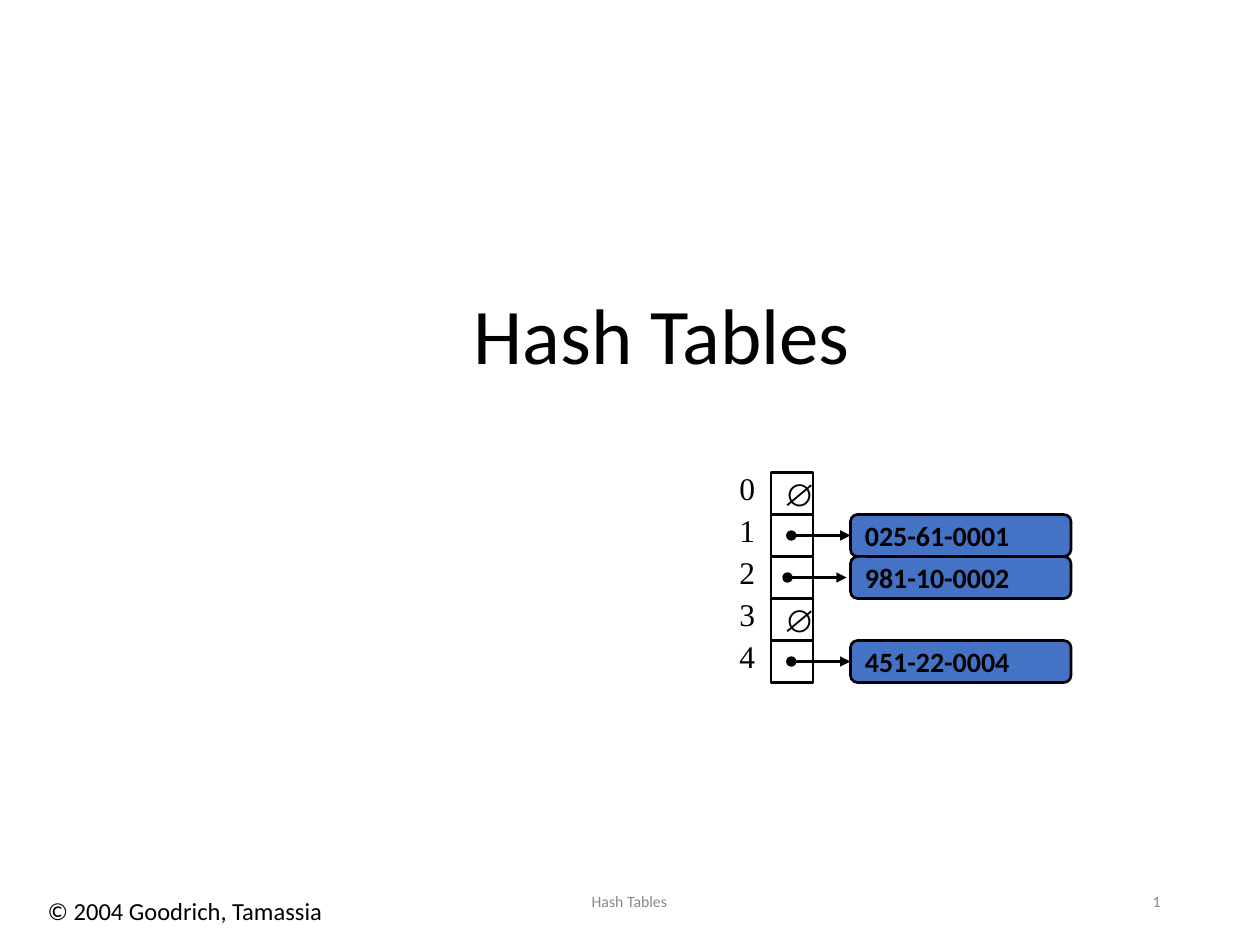
"""Build the "Hash Tables" title slide with a small hash table diagram."""
import pptx
import pptx.dml.color
import pptx.enum.shapes
import pptx.enum.text
import pptx.oxml
import pptx.oxml.ns
import pptx.util

Inches = pptx.util.Inches
Pt = pptx.util.Pt
SHAPES = pptx.enum.shapes.MSO_SHAPE
ALIGN = pptx.enum.text.PP_ALIGN
ANCHOR = pptx.enum.text.MSO_ANCHOR

TITLE = "Hash Tables"
BLACK, GREY, BLUE = "000000", "898989", "4472C4"
LABELS = [
    ("© 2004 Goodrich, Tamassia", (0.28, 7.06, 2.39, 0.34), 14, BLACK, ALIGN.LEFT, ANCHOR.TOP, False),
    (TITLE, (3.31, 6.95, 3.37, 0.4), 9, GREY, ALIGN.CENTER, ANCHOR.MIDDLE, True),
    ("1", (7.06, 6.95, 2.25, 0.4), 9, GREY, ALIGN.RIGHT, ANCHOR.MIDDLE, True),
]
BUCKETS = [None, "025-61-0001", "981-10-0002", None, "451-22-0004"]
ARROW_SHIFTS = {2: -0.03}

CELL = 1 / 3
TABLE_LEFT, TABLE_TOP = 6.12, 3.75
INDEX_LEFT, INDEX_RISE = 5.77, 0.08
ENTRY_LEFT, ENTRY_WIDTH = 6.75, 1.75
ARROW_LEFT = 6.28


def color(value):
    return pptx.dml.color.RGBColor.from_string(value)


def write(shape, text, size, font="Calibri", ink=BLACK, align=ALIGN.LEFT,
          anchor=ANCHOR.MIDDLE, wrap=False, bold=False):
    frame = shape.text_frame
    frame.word_wrap = wrap
    frame.vertical_anchor = anchor
    frame.text = text
    para = frame.paragraphs[0]
    para.alignment = align
    para.font.name = font
    para.font.size = Pt(size)
    para.font.bold = bold
    para.font.color.rgb = color(ink)
    return para


def add_label(page, text, place, size, **style):
    box = page.shapes.add_textbox(*map(Inches, place))
    write(box, text, size, **style)


def add_box(page, kind, left, top, width, fill=None):
    box = page.shapes.add_shape(kind, *map(Inches, (left, top, width, CELL)))
    box.shadow.inherit = False
    if fill:
        box.fill.solid()
        box.fill.fore_color.rgb = color(fill)
    else:
        box.fill.background()
    box.line.color.rgb = color(BLACK)
    box.line.width = Pt(1.5)
    return box


def add_arrow(page, middle, shift, entry):
    ends = (ARROW_LEFT + shift, middle, ENTRY_LEFT + shift, middle)
    arrow = page.shapes.add_connector(
        pptx.enum.shapes.MSO_CONNECTOR.STRAIGHT, *map(Inches, ends))
    if not shift:
        arrow.end_connect(entry, 1)
    arrow.line.color.rgb = color(BLACK)
    arrow.line.width = Pt(1.5)
    line = arrow.line._get_or_add_ln()
    for tag, kind in (("a:headEnd", "oval"), ("a:tailEnd", "triangle")):
        end = pptx.oxml.xmlchemy.OxmlElement(tag)
        end.set("type", kind)
        line.append(end)
    arrow._element.spPr.append(pptx.oxml.xmlchemy.OxmlElement("a:effectLst"))


def add_bucket(page, index, key):
    top = TABLE_TOP + index * CELL
    cell = add_box(page, SHAPES.RECTANGLE, TABLE_LEFT, top, CELL)
    add_label(page, str(index), (INDEX_LEFT, top - INDEX_RISE, 0.32, 0.4), 18,
              font="Times New Roman", anchor=ANCHOR.TOP)
    if key is None:
        write(cell, "∅", 18, font="Arial")
        return
    entry = add_box(page, SHAPES.ROUNDED_RECTANGLE, ENTRY_LEFT, top, ENTRY_WIDTH, BLUE)
    entry.adjustments[0] = 0.17
    write(entry, key, 16, bold=True)
    add_arrow(page, top + CELL / 2, ARROW_SHIFTS.get(index, 0), entry)


def main():
    deck = pptx.Presentation()
    deck.slide_width, deck.slide_height = Inches(10), Inches(7.5)
    page = deck.slides.add_slide(deck.slide_layouts[5])

    title = page.shapes.title
    title.left, title.top, title.width, title.height = map(Inches, (1, 1.83, 8.5, 1.25))
    para = write(title, TITLE, 45, align=ALIGN.CENTER, anchor=ANCHOR.BOTTOM, wrap=True)
    para.line_spacing = 0.9
    title.text_frame.auto_size = pptx.enum.text.MSO_AUTO_SIZE.NONE

    for text, place, size, ink, align, anchor, wrap in LABELS:
        add_label(page, text, place, size, ink=ink, align=align, anchor=anchor, wrap=wrap)
    for index, key in enumerate(BUCKETS):
        add_bucket(page, index, key)

    deck.save("out.pptx")


if __name__ == "__main__":
    main()
